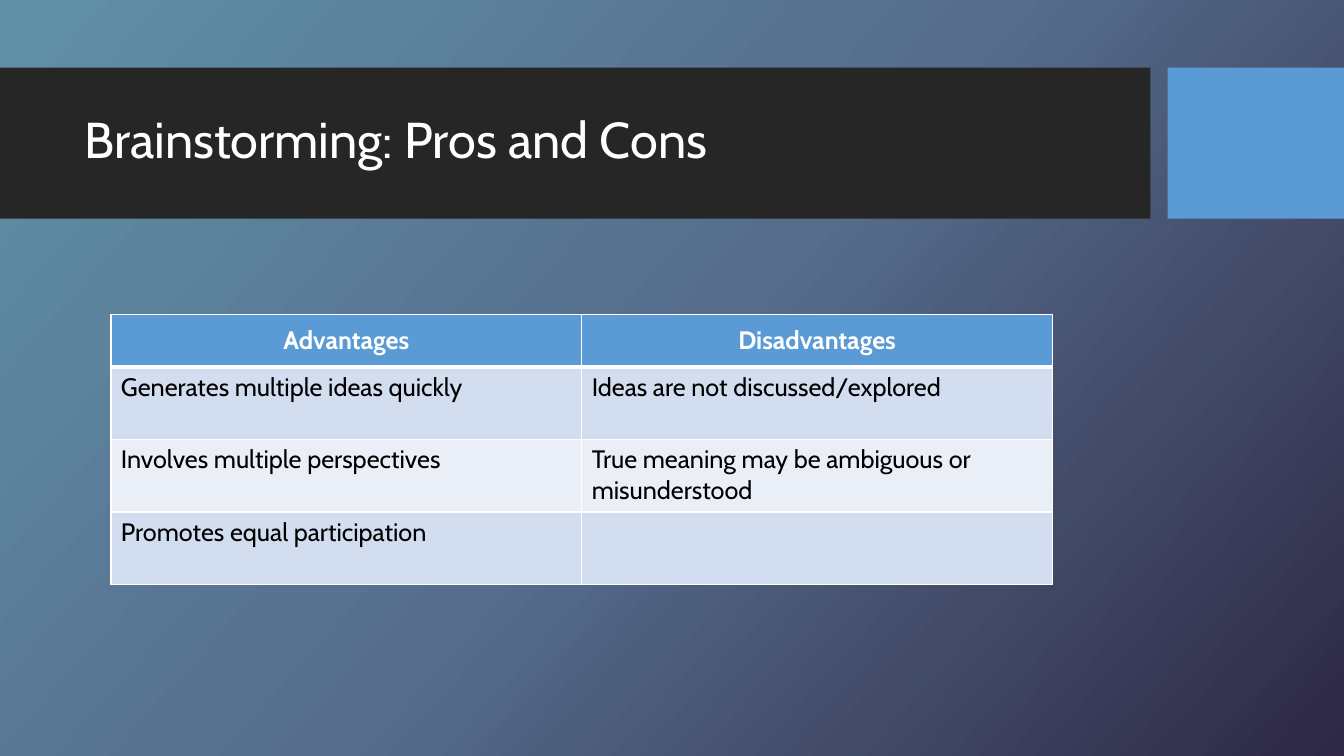
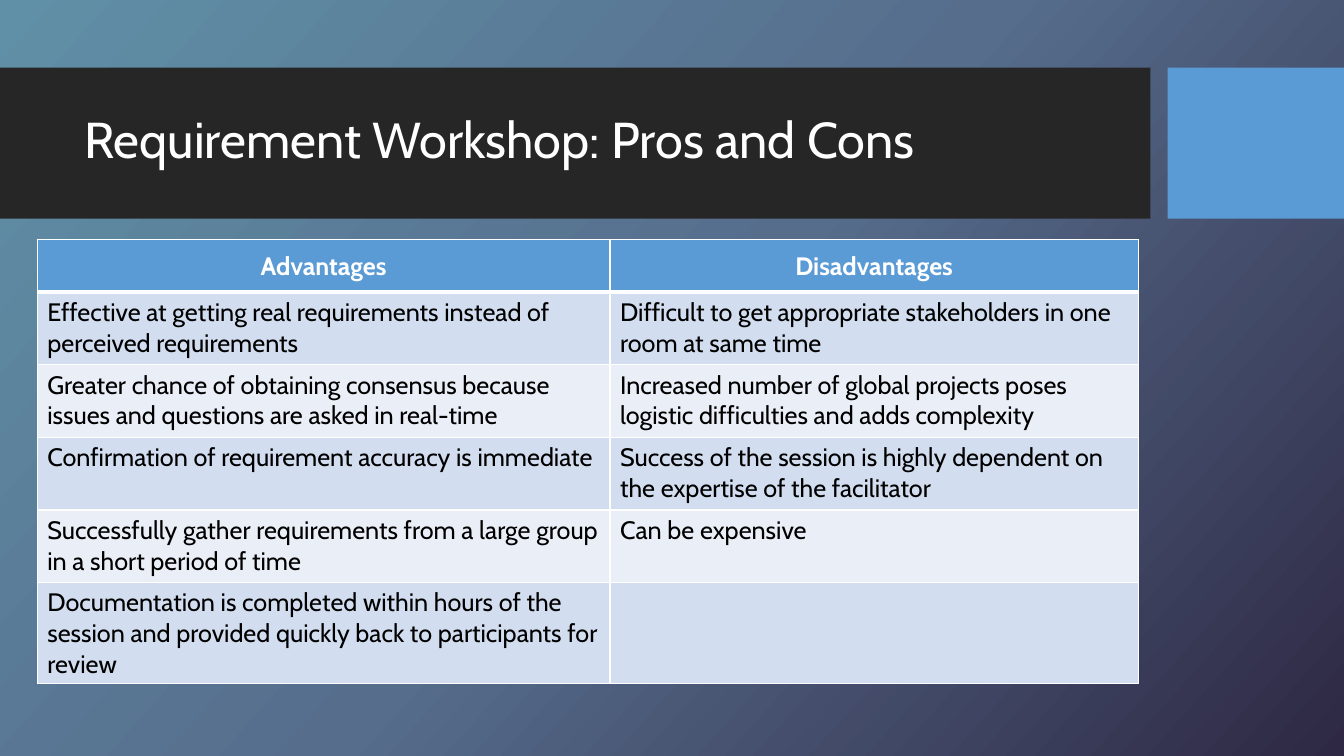
"""Build two slides that weigh the pros and cons of elicitation methods."""
from dataclasses import dataclass

from pptx import Presentation
from pptx.dml.color import RGBColor
from pptx.enum.shapes import MSO_SHAPE
from pptx.enum.text import MSO_ANCHOR, PP_ALIGN
from pptx.oxml import parse_xml
from pptx.oxml.ns import nsdecls
from pptx.slide import Slide
from pptx.table import _Cell as Cell
from pptx.text.text import _Paragraph as Para
from pptx.util import Inches, Pt

RECT = MSO_SHAPE.RECTANGLE
MIDDLE, TOP = MSO_ANCHOR.MIDDLE, MSO_ANCHOR.TOP
CENTER, LEFT = PP_ALIGN.CENTER, PP_ALIGN.LEFT


@dataclass(frozen=True)
class Theme:
    font: str = "Cabin"
    title: int = 36
    body: int = 18
    dark: str = "262626"
    blue: str = "5B9BD5"
    white: str = "FFFFFF"
    black: str = "000000"
    rows: tuple[str, str] = ("D2DEEF", "EAEFF7")
    stops: tuple[str, ...] = ("6090A7", "566D8C", "2E2844")
    angle: int = 42
    thin: int = 1
    thick: int = 3


@dataclass(frozen=True)
class Band:
    left: float
    width: float
    color: str


@dataclass(frozen=True)
class Page:
    title: str
    left: float
    top: float
    cols: tuple[float, float]
    pairs: tuple[tuple[str, str], ...]


THEME = Theme()
BANDS = (Band(0, 11.41, THEME.dark), Band(11.58, 1.75, THEME.blue))
HEADS = ("Advantages", "Disadvantages")
HEAD_H, ROW_H = 0.52, 0.72

PAGES = (
    Page("Brainstorming: Pros and Cons", 1.1, 3.12, (4.67, 4.67), (
        ("Generates multiple ideas quickly",
         "Ideas are not discussed/explored"),
        ("Involves multiple perspectives",
         "True meaning may be ambiguous or misunderstood"),
        ("Promotes equal participation", ""),
    )),
    Page("Requirement Workshop: Pros and Cons", 0.37, 2.38, (5.68, 5.24), (
        ("Effective at getting real requirements instead of "
         "perceived requirements",
         "Difficult to get appropriate stakeholders in one room at same time"),
        ("Greater chance of obtaining consensus because issues and questions "
         "are asked in real-time",
         "Increased number of global projects poses logistic difficulties "
         "and adds complexity"),
        ("Confirmation of requirement accuracy is immediate",
         "Success of the session is highly dependent on the expertise "
         "of the facilitator"),
        ("Successfully gather requirements from a large group in a short "
         "period of time",
         "Can be expensive"),
        ("Documentation is completed within hours of the session and "
         "provided quickly back to participants for review", ""),
    )),
)


def style(para: Para, size: int, color: str, bold: bool = False) -> None:
    font = para.font
    font.name, font.size, font.bold = THEME.font, Pt(size), bold
    font.color.rgb = RGBColor.from_string(color)


def paint(slide: Slide) -> None:
    step = 100000 // (len(THEME.stops) - 1)
    stops = "".join(
        f'<a:gs pos="{i * step}"><a:srgbClr val="{color}"/></a:gs>'
        for i, color in enumerate(THEME.stops))
    slide.element.cSld.insert(0, parse_xml(
        f'<p:bg {nsdecls("p", "a")}><p:bgPr><a:gradFill rotWithShape="1">'
        f'<a:gsLst>{stops}</a:gsLst>'
        f'<a:lin ang="{THEME.angle * 60000}" scaled="0"/></a:gradFill>'
        '<a:effectLst/></p:bgPr></p:bg>'))


def draw_band(slide: Slide, band: Band) -> None:
    shape = slide.shapes.add_shape(
        RECT, Inches(band.left), Inches(0.67), Inches(band.width), Inches(1.5))
    shape.shadow.inherit = False
    shape.fill.solid()
    shape.fill.fore_color.rgb = RGBColor.from_string(band.color)
    shape.line.fill.background()


def draw_title(slide: Slide, text: str) -> None:
    box = slide.shapes.add_textbox(
        Inches(0.74), Inches(0.82), Inches(10.51), Inches(1.18))
    frame = box.text_frame
    frame.word_wrap = True
    frame.vertical_anchor = MIDDLE
    para = frame.paragraphs[0]
    para.text = text
    para.line_spacing = 0.9
    style(para, THEME.title, THEME.white)


def edge(cell: Cell, top: int, bottom: int) -> None:
    props = cell._tc.get_or_add_tcPr()
    sides = {"L": THEME.thin, "R": THEME.thin, "T": top, "B": bottom}
    for side, width in sides.items():
        props.append(parse_xml(
            f'<a:ln{side} {nsdecls("a")} w="{Pt(width)}"><a:solidFill>'
            f'<a:srgbClr val="{THEME.white}"/></a:solidFill></a:ln{side}>'))


def fill_cell(cell: Cell, text: str, row: int) -> None:
    head = row == 0
    edge(cell, THEME.thick if row == 1 else THEME.thin,
         THEME.thick if head else THEME.thin)
    cell.fill.solid()
    color = THEME.blue if head else THEME.rows[(row - 1) % 2]
    cell.fill.fore_color.rgb = RGBColor.from_string(color)
    cell.vertical_anchor = MIDDLE if head else TOP
    para = cell.text_frame.paragraphs[0]
    para.text = text
    para.alignment = CENTER if head else LEFT
    style(para, THEME.body, THEME.white if head else THEME.black, head)


def draw_table(slide: Slide, page: Page) -> None:
    lines = (HEADS, *page.pairs)
    table = slide.shapes.add_table(
        len(lines), len(HEADS), Inches(page.left), Inches(page.top),
        Inches(sum(page.cols)),
        Inches(HEAD_H + ROW_H * len(page.pairs))).table
    for col, width in zip(table.columns, page.cols):
        col.width = Inches(width)
    for i, line in enumerate(lines):
        table.rows[i].height = Inches(ROW_H if i else HEAD_H)
        for j, text in enumerate(line):
            fill_cell(table.cell(i, j), text, i)


def main() -> None:
    deck = Presentation()
    deck.slide_width, deck.slide_height = Inches(13.33), Inches(7.5)
    for page in PAGES:
        slide = deck.slides.add_slide(deck.slide_layouts[6])
        paint(slide)
        for band in BANDS:
            draw_band(slide, band)
        draw_title(slide, page.title)
        draw_table(slide, page)
    deck.save("out.pptx")


if __name__ == "__main__":
    main()
